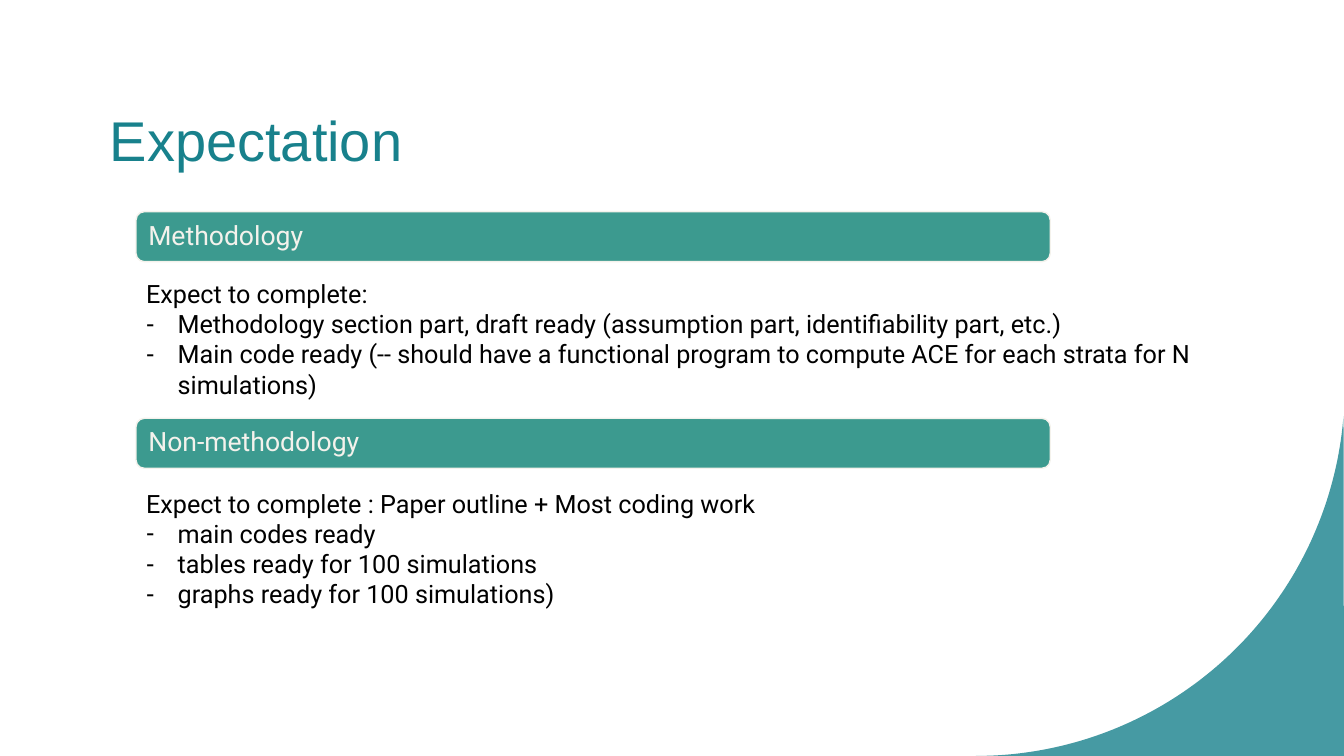
from math import cos, radians, sin

from lxml.etree import SubElement
from pptx import Presentation
from pptx.dml.color import RGBColor as Color
from pptx.enum.shapes import MSO_SHAPE as Preset
from pptx.enum.text import MSO_ANCHOR as Anchor, MSO_AUTO_SIZE as Auto, PP_ALIGN as Align
from pptx.oxml.ns import qn
from pptx.util import Pt

TEAL = Color(0x18, 0x81, 0x8C)
GREEN = Color(0x3C, 0x9A, 0x8F)
CREAM = Color(0xF4, 0xF2, 0xEC)
BLACK = Color(0, 0, 0)

TITLE = "Expectation"
PARTS = [
    {
        "head": "Methodology",
        "top": 151.2,
        "box": (195.1, 787.7, 94.3),
        "lead": "Expect to complete:",
        "items": [
            "Methodology section part, draft ready (assumption part, identifiability part, etc.)",
            "Main code ready (-- should have a functional program to compute ACE for each strata for N simulations)",
        ],
    },
    {
        "head": "Non-methodology",
        "top": 298.8,
        "box": (344.9, 667.4, 138.2),
        "lead": "Expect to complete : Paper outline + Most coding work",
        "items": [
            "main codes ready",
            "tables ready for 100 simulations",
            "graphs ready for 100 simulations)",
        ],
    },
]

WIDE, HIGH = 960, 540
LEFT = 97.2
BAR = (653, 35.7)
ROUND = 0.165
INDENT = 22.5
ARC = {"x": 697, "y": 276.5, "r": 263.5, "end": 4.5, "steps": 90}

HEAD = {"name": "Arial", "size": Pt(40), "color": TEAL}
LABEL = {"name": "Roboto", "size": Pt(19), "color": CREAM}
BODY = {"name": "Roboto", "size": Pt(18), "color": BLACK}
FRAME = {"word_wrap": True, "auto_size": Auto.NONE}
PARA = {"alignment": Align.LEFT, "space_before": Pt(0), "space_after": Pt(0)}


def assign(target, values):
    for name, value in values.items():
        setattr(target, name, value)


def style(font, look):
    for name, value in look.items():
        if name == "color":
            font.color.rgb = value
        else:
            setattr(font, name, value)


def place(shape, *box):
    assign(shape, dict(zip(("left", "top", "width", "height"), map(Pt, box))))


def write(shape, lines, look, anchor):
    frame = shape.text_frame
    assign(frame, {**FRAME, "vertical_anchor": anchor})
    for i, line in enumerate(lines):
        para = frame.paragraphs[0] if i == 0 else frame.add_paragraph()
        assign(para, PARA)
        run = para.add_run()
        run.text = line
        style(run.font, look)
    return frame


def bullet(para, mark):
    props = para._p.get_or_add_pPr()
    inset = Pt(INDENT) if mark else 0
    props.set("marL", str(inset))
    props.set("indent", str(-inset))
    if mark:
        SubElement(props, qn("a:buChar")).set("char", mark)
    else:
        SubElement(props, qn("a:buNone"))


def paint(shape, color):
    shape.shadow.inherit = False
    shape.fill.solid()
    shape.fill.fore_color.rgb = color


def corner(slide):
    sweep = 90 - ARC["end"]
    turns = [radians(90 - sweep * i / ARC["steps"]) for i in range(ARC["steps"] + 1)]
    edge = [(ARC["x"] + ARC["r"] * cos(t), ARC["y"] + ARC["r"] * sin(t)) for t in turns]
    points = [(Pt(x), Pt(y)) for x, y in edge + [(WIDE, HIGH)]]
    pen = slide.shapes.build_freeform(*points[0])
    pen.add_line_segments(points[1:], close=True)
    shape = pen.convert_to_shape()
    paint(shape, TEAL)
    shape.line.fill.background()
    tint = shape.fill._xPr.find(".//" + qn("a:srgbClr"))
    SubElement(tint, qn("a:alpha")).set("val", "80000")


def banner(slide, part):
    box = map(Pt, (LEFT, part["top"], *BAR))
    shape = slide.shapes.add_shape(Preset.ROUNDED_RECTANGLE, *box)
    shape.adjustments[0] = ROUND
    paint(shape, GREEN)
    shape.line.color.rgb = CREAM
    shape.line.width = Pt(1)
    frame = write(shape, [part["head"]], LABEL, Anchor.MIDDLE)
    sides = ("left", "top", "right", "bottom")
    assign(frame, {"margin_" + side: Pt(7.2) for side in sides})
    frame.paragraphs[0].line_spacing = 0.9


def main():
    deck = Presentation()
    assign(deck, {"slide_width": Pt(WIDE), "slide_height": Pt(HIGH)})
    slide = deck.slides.add_slide(deck.slide_layouts[3])
    title, *bodies = slide.placeholders
    corner(slide)
    place(title, 71.3, 46.8, 780.5, 104.4)
    write(title, [TITLE], HEAD, Anchor.MIDDLE)
    for part, body in zip(PARTS, bodies):
        banner(slide, part)
        top, width, height = part["box"]
        place(body, LEFT, top, width, height)
        frame = write(body, [part["lead"], *part["items"]], BODY, Anchor.TOP)
        for i, para in enumerate(frame.paragraphs):
            bullet(para, "-" if i else "")
    deck.save("out.pptx")


if __name__ == "__main__":
    main()
